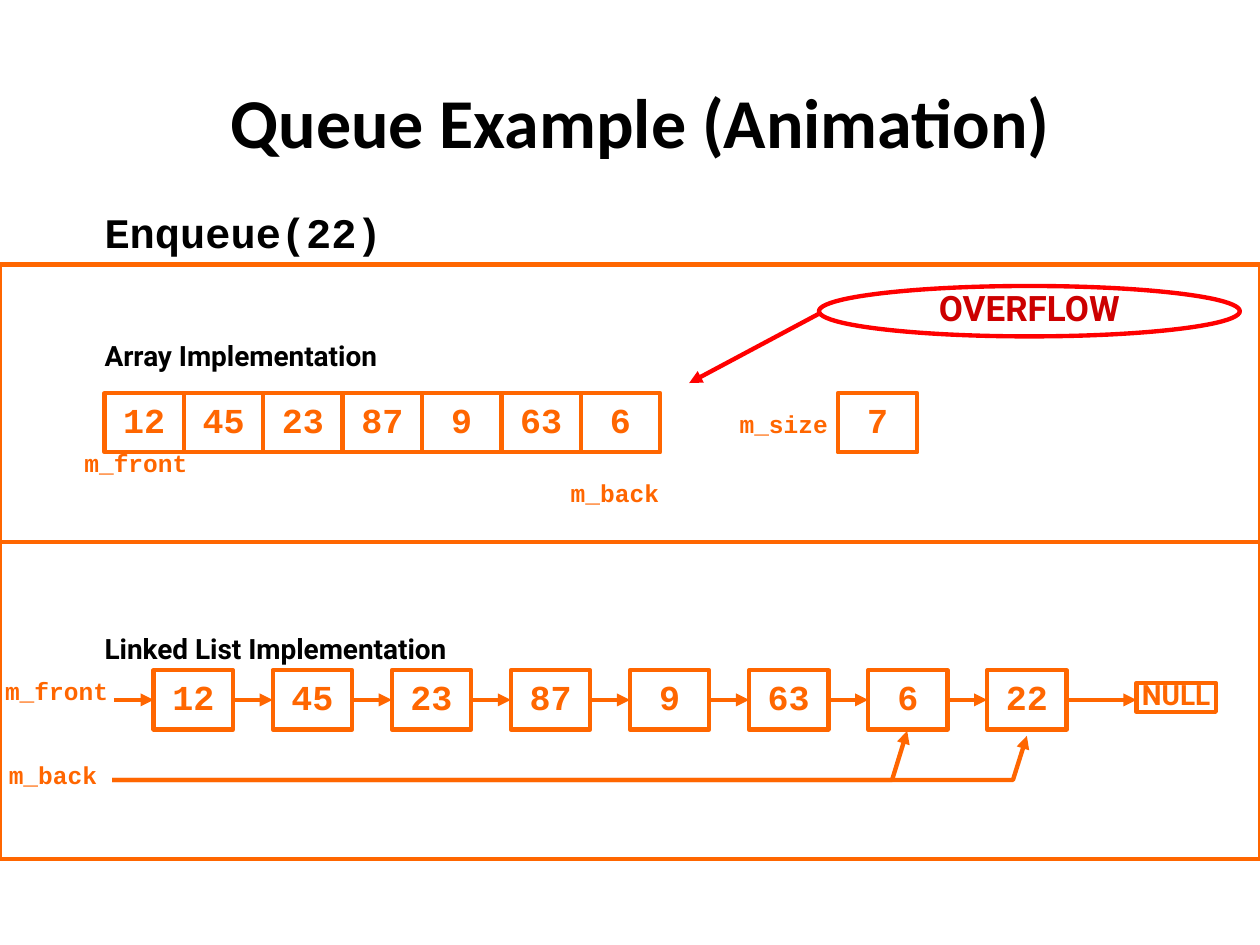
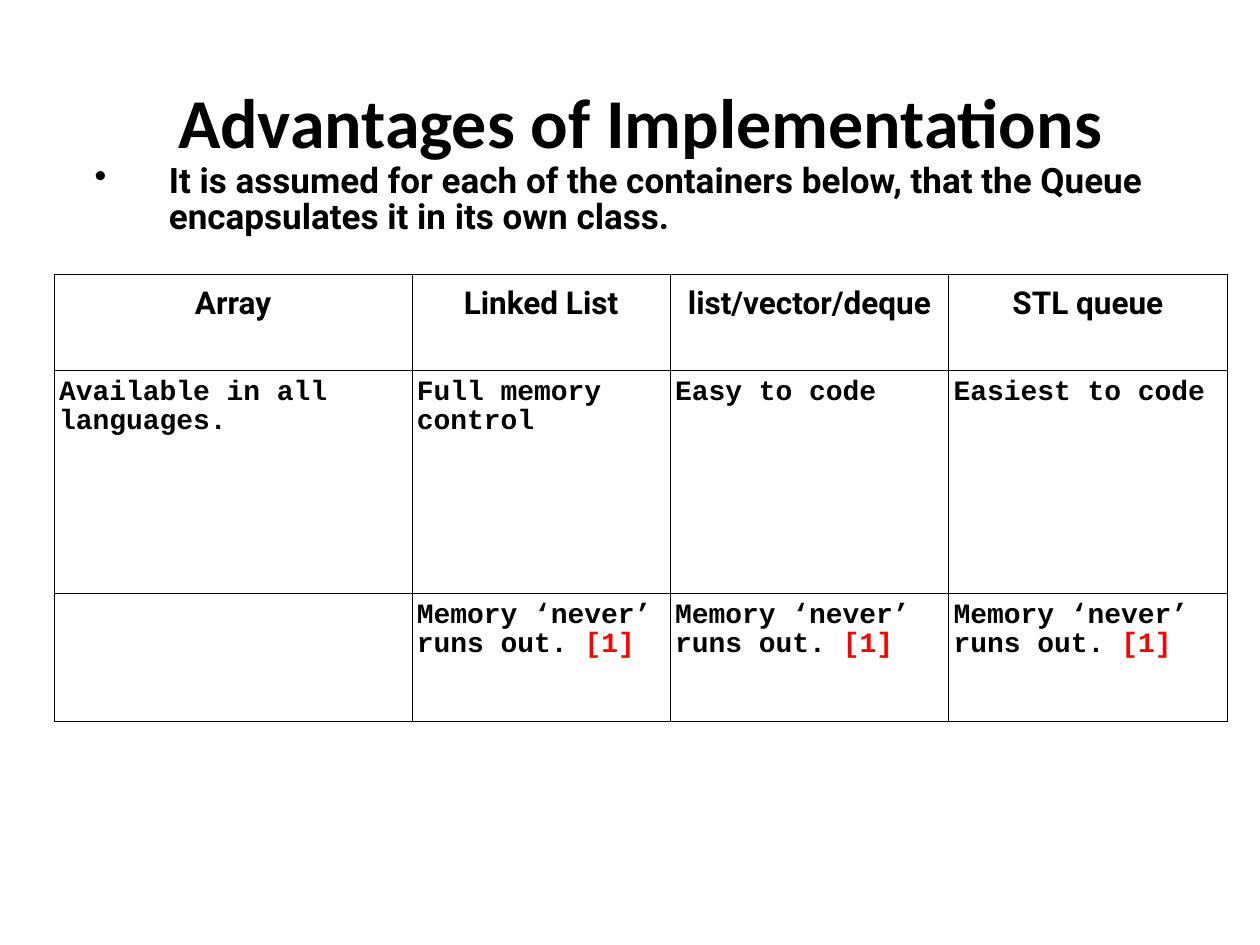
from lxml.etree import SubElement
from pptx import Presentation
from pptx.dml.color import RGBColor
from pptx.enum.shapes import MSO_CONNECTOR, MSO_SHAPE
from pptx.enum.text import MSO_ANCHOR, MSO_AUTO_SIZE, PP_ALIGN
from pptx.oxml.ns import qn
from pptx.oxml.xmlchemy import OxmlElement
from pptx.util import Inches, Pt

BLACK = RGBColor(0x00, 0x00, 0x00)
WHITE = RGBColor(0xFF, 0xFF, 0xFF)
ORANGE = RGBColor(0xFF, 0x66, 0x00)
RED = RGBColor(0xFF, 0x00, 0x00)
DARK_RED = RGBColor(0xCC, 0x00, 0x00)
HEADING, BODY, CODE = "Calibri", "Roboto", "Courier New"
STROKE = Pt(2.5)

SLIDE_W, SLIDE_H = 10, 7.5
MARGIN = 0.83
CELL_W, CELL_H = 0.63, 0.47
NODE_PITCH = 1.5 * CELL_W


def style_paragraph(paragraph, size, family, color, spacing=0.85, align=PP_ALIGN.LEFT):
    paragraph.alignment = align
    paragraph.line_spacing = spacing
    font = paragraph.font
    font.size, font.name, font.bold = Pt(size), family, True
    font.color.rgb = color


def add_label(slide, text, box, size, family, color, kind=None, fill=None, line=None, centred=False):
    """Add a text box, or a preset shape of the given kind, with unpadded text; box is in inches."""
    place = [Inches(v) for v in box]
    if kind is None:
        label = slide.shapes.add_textbox(*place)
    else:
        label = slide.shapes.add_shape(kind, *place)
        label.shadow.inherit = False
        label.fill.background()
        label.line.fill.background()
    if fill is not None:
        label.fill.solid()
        label.fill.fore_color.rgb = fill
    if line is not None:
        label.line.color.rgb = line
        label.line.width = STROKE
    frame = label.text_frame
    frame.word_wrap = True
    frame.margin_left = frame.margin_top = frame.margin_right = frame.margin_bottom = 0
    frame.vertical_anchor = MSO_ANCHOR.MIDDLE if centred else MSO_ANCHOR.TOP
    if text:
        frame.text = text
        align = PP_ALIGN.CENTER if centred else PP_ALIGN.LEFT
        style_paragraph(frame.paragraphs[0], size, family, color, align=align)
    return label


prs = Presentation()
prs.slide_width, prs.slide_height = Inches(SLIDE_W), Inches(SLIDE_H)

# Slides with their shared title style
slides = []
for heading in ("Queue Example (Animation)", "Advantages of Implementations"):
    slide = prs.slides.add_slide(prs.slide_layouts[5])
    title = slide.shapes.title
    title.left, title.top = Inches(MARGIN), Inches(0.6)
    title.width, title.height = Inches(8.5), Inches(0.71)
    title.text_frame.text = heading
    title.text_frame.auto_size = MSO_AUTO_SIZE.NONE
    title.text_frame.vertical_anchor = MSO_ANCHOR.MIDDLE
    style_paragraph(title.text_frame.paragraphs[0], 40, HEADING, BLACK, 1.0, PP_ALIGN.CENTER)
    slides.append(slide)
example, advantages = slides

# Queue example: panels and captions
ARRAY_TOP, LIST_TOP, LIST_LEFT = 3.12, 5.32, 1.22
link_y = LIST_TOP + CELL_H / 2
back_y = 6.19
boxed = {"kind": MSO_SHAPE.RECTANGLE, "line": ORANGE, "centred": True}

for top, height in ((4.3, 2.52), (2.1, 2.2)):
    add_label(example, "", (0, top, SLIDE_W, height), 20, CODE, ORANGE, **boxed)

for text, top, height, size, family in (
    ("Enqueue(22)", 1.7, 0.34, 24, CODE),
    ("Array Implementation", 2.73, 0.23, 16, BODY),
    ("Linked List Implementation", 5.05, 0.23, 16, BODY),
):
    add_label(example, text, (MARGIN, top, 3.94, height), size, family, BLACK)

for name, left, top in (
    ("m_front", 0.67, 3.59),
    ("m_back", 4.53, 3.83),
    ("m_size", 5.87, 3.28),
    ("m_front", 0.04, 5.4),
    ("m_back", 0.07, 6.07),
):
    add_label(example, name, (left, top, 0.87, 0.2), 14, CODE, ORANGE)

# Array cells and the size counter
queued = ["12", "45", "23", "87", "9", "63", "6"]
array_cells = [(value, MARGIN + i * CELL_W) for i, value in enumerate(queued)]
for value, left in array_cells + [(str(len(queued)), 6.65)]:
    add_label(example, value, (left, ARRAY_TOP, CELL_W, CELL_H), 20, CODE, ORANGE, **boxed)

# Linked nodes, the end marker and the overflow warning
nodes = queued + ["22"]
gap = NODE_PITCH - CELL_W
links = []
for i, value in enumerate(nodes):
    left = LIST_LEFT + i * NODE_PITCH
    add_label(example, value, (left, LIST_TOP, CELL_W, CELL_H), 20, CODE, ORANGE, fill=WHITE, **boxed)
    links.append((left - gap, link_y, left, link_y, ORANGE))
null_left = 9.02
add_label(example, "NULL", (null_left, 5.42, CELL_W, 0.23), 16, BODY, ORANGE, **boxed)
links.append((LIST_LEFT + len(nodes) * NODE_PITCH - gap, link_y, null_left, link_y, ORANGE))
add_label(example, "OVERFLOW", (6.5, 2.27, 3.34, 0.4), 20, BODY, DARK_RED,
          kind=MSO_SHAPE.OVAL, fill=WHITE, line=RED, centred=True)
links.append((6.5, 2.49, 5.47, 3.04, RED))

# Arrows: straight links, then the bent m_back pointers to the old and new last node
arrows = []
for x1, y1, x2, y2, color in links:
    ends = [Inches(v) for v in (x1, y1, x2, y2)]
    arrows.append((example.shapes.add_connector(MSO_CONNECTOR.STRAIGHT, *ends), color))
for bend_x, tip_x, tip_y in ((7.08, 7.2, 5.8), (8.04, 8.15, 5.84)):
    builder = example.shapes.build_freeform(Inches(0.89), Inches(back_y))
    builder.add_line_segments(
        [(Inches(bend_x), Inches(back_y)), (Inches(tip_x), Inches(tip_y))], close=False)
    pointer = builder.convert_to_shape()
    pointer.fill.background()
    arrows.append((pointer, ORANGE))
for arrow, color in arrows:
    arrow.line.color.rgb = color
    arrow.line.width = STROKE
    properties = arrow.element.spPr
    SubElement(properties.find(qn("a:ln")), qn("a:tailEnd"), type="triangle")
    SubElement(properties, qn("a:effectLst"))

# Advantages: bulleted assumption
assumption = add_label(
    advantages,
    "It is assumed for each of the containers below, that the Queue encapsulates it in its own class.",
    (0.75, 1.31, 8.35, 0.57), 20, BODY, BLACK)
bullet_properties = assumption.text_frame.paragraphs[0]._p.pPr
bullet_properties.set("marL", str(Inches(0.59)))
bullet_properties.set("indent", str(-Inches(0.59)))
bullet = OxmlElement("a:buChar")
bullet.set("char", "•")
bullet_properties.find(qn("a:defRPr")).addprevious(bullet)

# Advantages: comparison table
NOTE = "[1]"
unlimited = "Memory ‘never’ runs out. " + NOTE
comparison = [
    ["Array", "Linked List", "list/vector/deque", "STL queue"],
    ["Available in all languages.", "Full memory control", "Easy to code", "Easiest to code"],
    ["", unlimited, unlimited, unlimited],
]
column_widths = (2.84, 2.05, 2.21, 2.21)
row_heights = (0.76, 1.77, 1.02)
table = advantages.shapes.add_table(
    len(row_heights), len(column_widths), Inches(0.43), Inches(2.18),
    Inches(sum(column_widths)), Inches(sum(row_heights))).table
table.first_row = table.horz_banding = False
for column, width in zip(table.columns, column_widths):
    column.width = Inches(width)
for row, height in zip(table.rows, row_heights):
    row.height = Inches(height)

for r, texts in enumerate(comparison):
    for c, text in enumerate(texts):
        cell = table.cell(r, c)
        cell.margin_left = cell.margin_right = Inches(0.04)
        cell.margin_top = cell.margin_bottom = Inches(0.05)
        outer = {"L": c == 0, "R": c == len(texts) - 1, "T": r == 0, "B": r == len(comparison) - 1}
        for side, is_outer in outer.items():
            border = SubElement(cell._tc.get_or_add_tcPr(), qn("a:ln" + side),
                                w=str(Pt(0.5 if is_outer else 0.25)))
            SubElement(SubElement(border, qn("a:solidFill")), qn("a:srgbClr"), val=str(BLACK))
        cell.fill.background()
        if not text:
            continue
        paragraph = cell.text_frame.paragraphs[0]
        if r == 0:
            style_paragraph(paragraph, 18, BODY, BLACK, 1.13, PP_ALIGN.CENTER)
        else:
            style_paragraph(paragraph, 16, CODE, BLACK, 0.94)
        statement, note, _ = text.partition(NOTE)
        paragraph.add_run().text = statement
        if note:
            reference = paragraph.add_run()
            reference.text = note
            reference.font.color.rgb = RED

prs.save("out.pptx")
